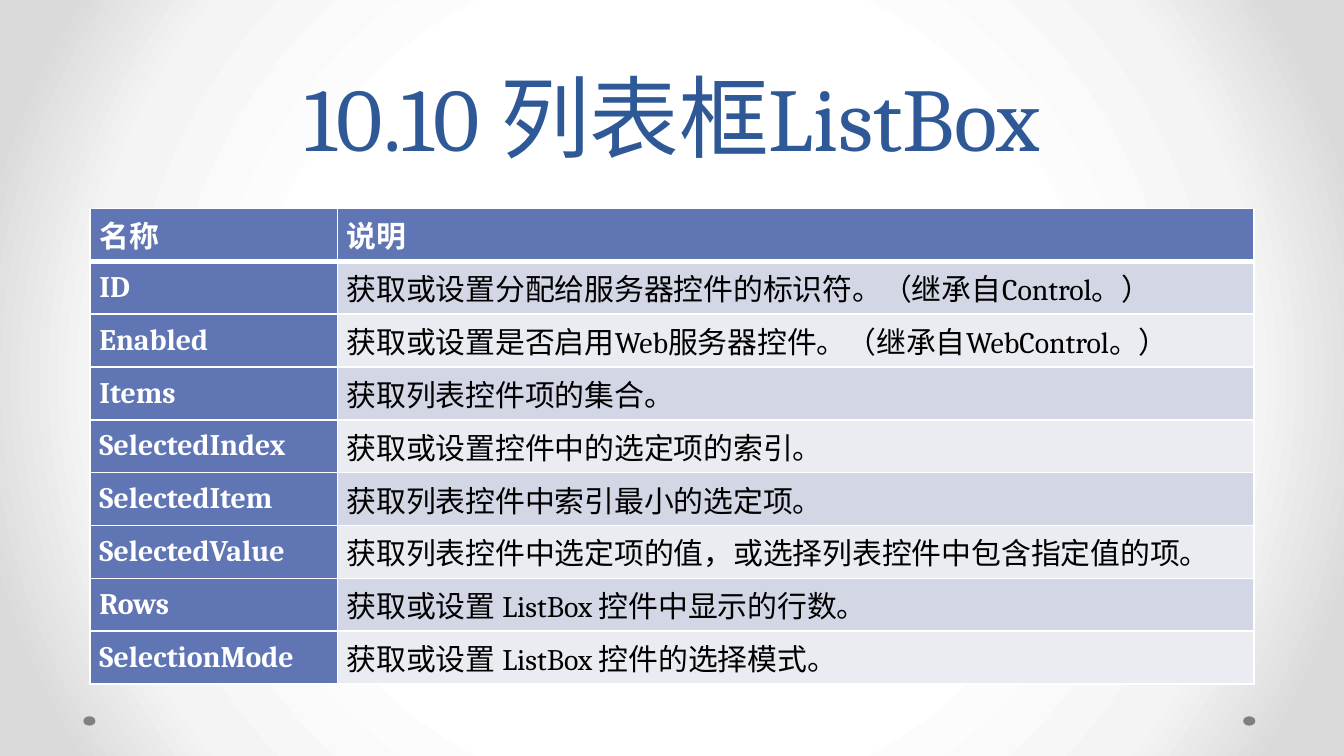
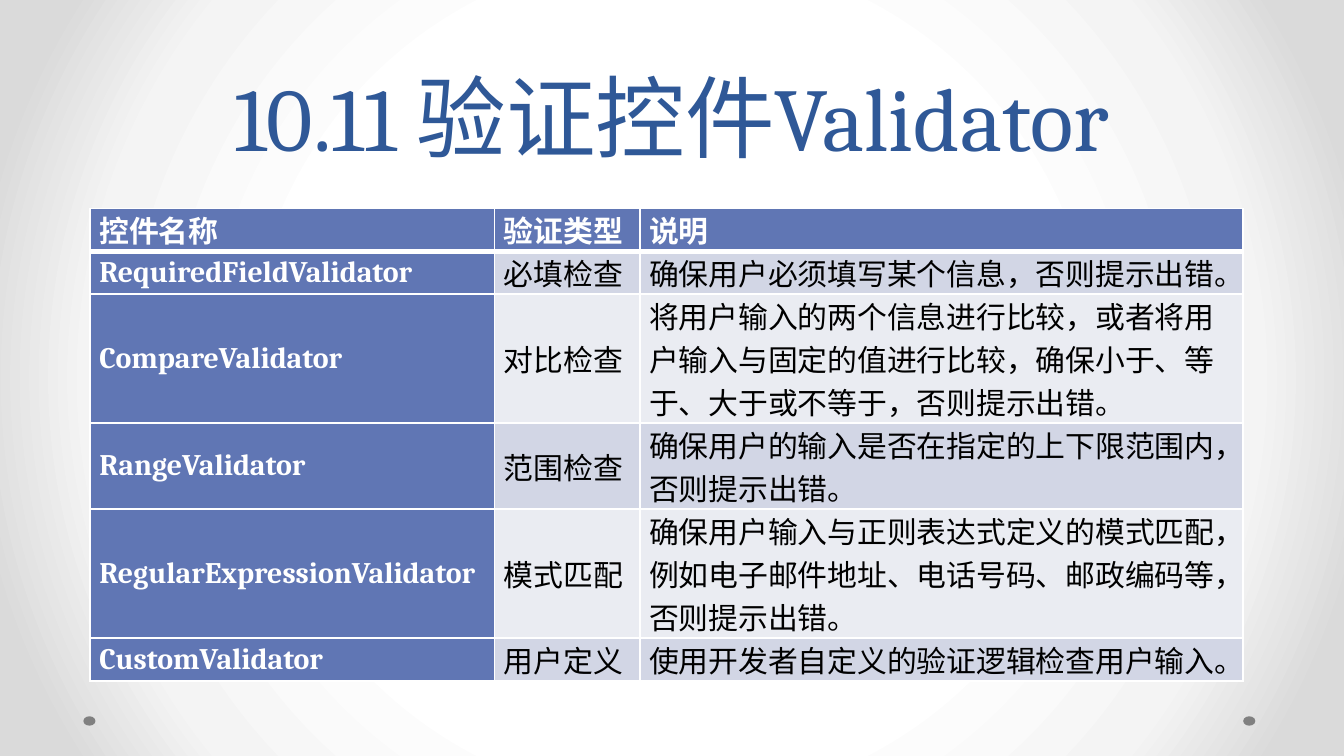
"""Build two slides of tables about list box and validator web controls."""
from dataclasses import dataclass
from typing import Optional

from pptx import Presentation
from pptx.dml.color import RGBColor
from pptx.enum.lang import MSO_LANGUAGE_ID as Language
from pptx.enum.shapes import MSO_SHAPE as Shape
from pptx.enum.text import MSO_ANCHOR as Anchor, PP_ALIGN as Align
from pptx.oxml import parse_xml
from pptx.oxml.ns import nsdecls
from pptx.presentation import Presentation as Deck
from pptx.slide import Slide
from pptx.table import _Cell as Cell
from pptx.text.text import TextFrame
from pptx.util import Inches, Pt

FONT = "Cambria"
COLORS = {
    "title": "2F5897",
    "header": "6076B4",
    "odd": "D2D6E5",
    "even": "EAECF2",
    "white": "FFFFFF",
    "black": "000000",
    "dot": "808080",
    "middle": "F4F4F4",
    "edge": "DADADA",
}
BACKGROUND_STOPS = ((50, "white"), (76, "middle"), (92, "edge"))
DOT_LEFTS = (0.62, 9.25)


@dataclass(frozen=True)
class TablePage:
    title: str
    height: float
    columns: tuple[float, ...]
    lines: tuple[int, ...]
    rows: tuple[tuple[str, ...], ...]


PAGES = (
    TablePage(
        title="10.10 列表框ListBox",
        height=3.54,
        columns=(1.84, 6.82),
        lines=(1,) * 9,
        rows=(
            ("名称", "说明"),
            ("ID", "获取或设置分配给服务器控件的标识符。（继承自Control。）"),
            ("Enabled", "获取或设置是否启用Web服务器控件。（继承自WebControl。）"),
            ("Items", "获取列表控件项的集合。"),
            ("SelectedIndex", "获取或设置控件中的选定项的索引。"),
            ("SelectedItem", "获取列表控件中索引最小的选定项。"),
            ("SelectedValue", "获取列表控件中选定项的值，或选择列表控件中包含指定值的项。"),
            ("Rows", "获取或设置 ListBox 控件中显示的行数。"),
            ("SelectionMode", "获取或设置 ListBox 控件的选择模式。"),
        ),
    ),
    TablePage(
        title="10.11 验证控件Validator",
        height=3.52,
        columns=(3.01, 1.08, 4.49),
        lines=(1, 1, 3, 2, 3, 1),
        rows=(
            ("控件名称", "验证类型", "说明"),
            ("RequiredFieldValidator", "必填检查",
             "确保用户必须填写某个信息，否则提示出错。"),
            ("CompareValidator", "对比检查",
             "将用户输入的两个信息进行比较，或者将用户输入与固定的值进行比较，"
             "确保小于、等于、大于或不等于，否则提示出错。"),
            ("RangeValidator", "范围检查",
             "确保用户的输入是否在指定的上下限范围内，否则提示出错。"),
            ("RegularExpressionValidator", "模式匹配",
             "确保用户输入与正则表达式定义的模式匹配，"
             "例如电子邮件地址、电话号码、邮政编码等，否则提示出错。"),
            ("CustomValidator", "用户定义",
             "使用开发者自定义的验证逻辑检查用户输入。"),
        ),
    ),
)


def rgb(name: str) -> RGBColor:
    return RGBColor.from_string(COLORS[name])


def write(frame: TextFrame, text: str, *, size: int, color: str,
          bold: bool = False, align: Align = Align.LEFT,
          spacing: Optional[int] = None) -> None:
    para = frame.paragraphs[0]
    para.alignment = align
    if spacing:
        para.line_spacing = Pt(spacing)
    span = para.add_run()
    span.text = text
    font = span.font
    font.name, font.size, font.bold = FONT, Pt(size), bold
    font.color.rgb = rgb(color)
    font.language_id = Language.SIMPLIFIED_CHINESE


def paint_background(page: Slide) -> None:
    stops = "".join(
        f'<a:gs pos="{place * 1000}"><a:srgbClr val="{COLORS[name]}"/></a:gs>'
        for place, name in BACKGROUND_STOPS
    )
    page.element.cSld.insert(0, parse_xml(
        f'<p:bg {nsdecls("p", "a")}><p:bgPr><a:gradFill rotWithShape="1">'
        f'<a:gsLst>{stops}</a:gsLst><a:path path="circle">'
        '<a:fillToRect l="50000" t="50000" r="50000" b="50000"/></a:path>'
        '</a:gradFill><a:effectLst/></p:bgPr></p:bg>'
    ))


def add_dots(page: Slide) -> None:
    for left in DOT_LEFTS:
        dot = page.shapes.add_shape(
            Shape.OVAL, Inches(left), Inches(5.33), Inches(0.09), Inches(0.07))
        dot.shadow.inherit = False
        dot.fill.solid()
        dot.fill.fore_color.rgb = rgb("dot")
        dot.line.fill.background()


def add_title(page: Slide, text: str) -> None:
    box = page.shapes.add_textbox(
        Inches(0.5), Inches(0), Inches(9), Inches(1.31))
    frame = box.text_frame
    frame.word_wrap = True
    frame.vertical_anchor = Anchor.BOTTOM
    write(frame, text, size=48, color="title", align=Align.CENTER, spacing=58)


def add_borders(cell: Cell, *, top: int, bottom: int) -> None:
    properties = cell._tc.get_or_add_tcPr()
    for side, width in (("L", 1), ("R", 1), ("T", top), ("B", bottom)):
        properties.append(parse_xml(
            f'<a:ln{side} {nsdecls("a")} w="{Pt(width)}"><a:solidFill>'
            f'<a:srgbClr val="{COLORS["white"]}"/></a:solidFill></a:ln{side}>'
        ))


def format_cell(cell: Cell, text: str, row: int, column: int) -> None:
    heading = row == 0 or column == 0
    add_borders(cell, top=3 if row == 1 else 1, bottom=3 if row == 0 else 1)
    cell.fill.solid()
    cell.fill.fore_color.rgb = rgb(
        "header" if heading else "odd" if row % 2 else "even")
    cell.vertical_anchor = Anchor.MIDDLE
    cell.margin_left = cell.margin_right = Inches(0.07)
    cell.margin_top = cell.margin_bottom = Inches(0)
    write(cell.text_frame, text, size=16, bold=heading,
          color="white" if heading else "black")


def add_grid(page: Slide, content: TablePage) -> None:
    table = page.shapes.add_table(
        len(content.rows), len(content.columns), Inches(0.67), Inches(1.55),
        Inches(sum(content.columns)), Inches(content.height)).table
    for column, width in zip(table.columns, content.columns):
        column.width = Inches(width)
    line_height = content.height / sum(content.lines)
    for row, count in zip(table.rows, content.lines):
        row.height = Inches(line_height * count)
    for row_index, texts in enumerate(content.rows):
        for column_index, text in enumerate(texts):
            format_cell(table.cell(row_index, column_index), text,
                        row_index, column_index)


def add_page(deck: Deck, content: TablePage) -> None:
    page = deck.slides.add_slide(deck.slide_layouts[6])
    paint_background(page)
    add_dots(page)
    add_title(page, content.title)
    add_grid(page, content)


def main() -> None:
    deck = Presentation()
    deck.slide_width = Inches(10)
    deck.slide_height = Inches(10 * 9 / 16)
    for content in PAGES:
        add_page(deck, content)
    deck.save("out.pptx")


if __name__ == "__main__":
    main()
